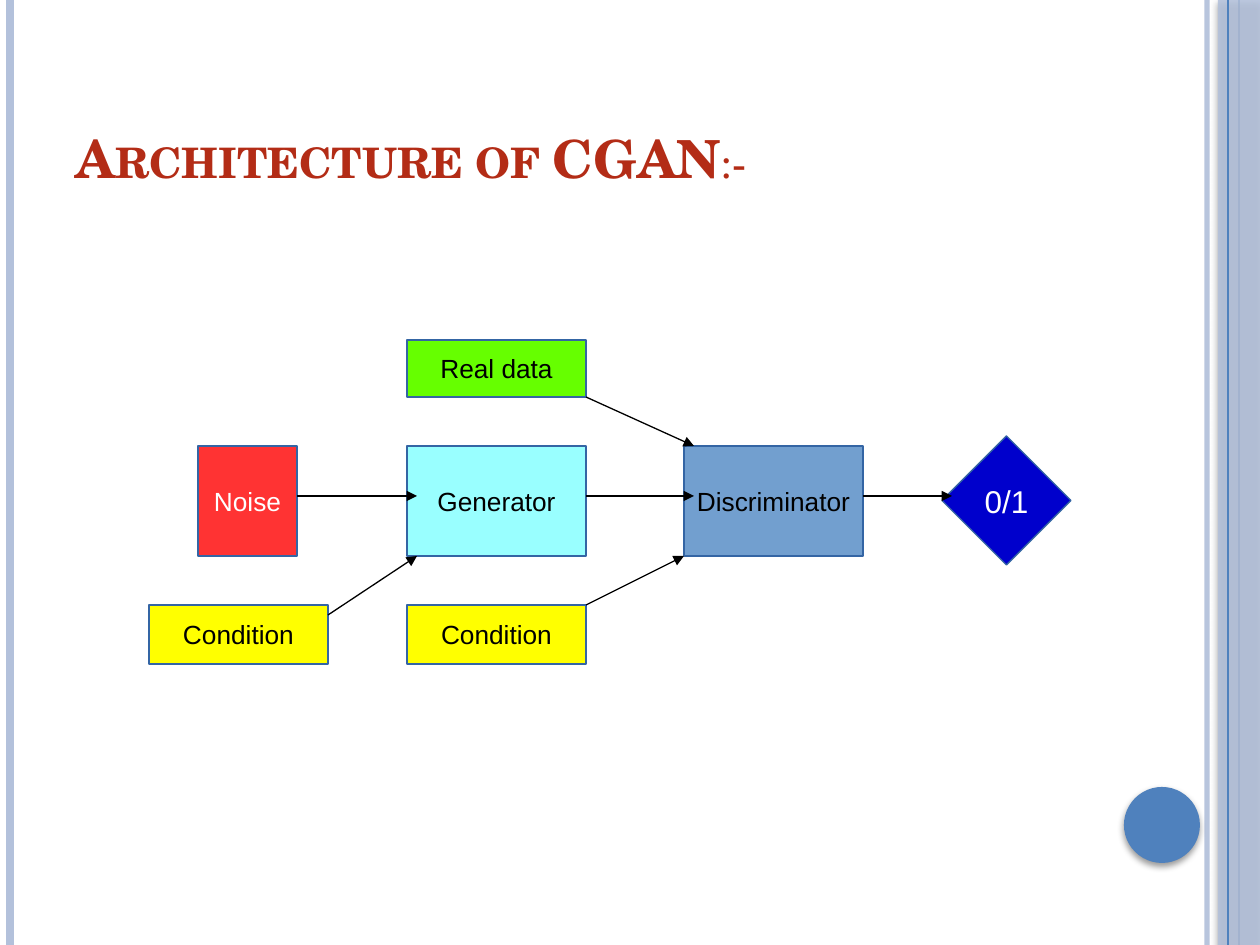
"""Builds the slide on the architecture of a conditional GAN."""
from lxml import etree
from pptx import Presentation
from pptx import util as u
from pptx.dml.color import RGBColor
from pptx.enum import shapes, text
from pptx.oxml import ns

SCALE = 914400 / 126


def px(length):
    """Turns pixels into EMU."""
    return u.Emu(round(length * SCALE))


def rgb(code):
    """Turns a hex string into a colour."""
    return RGBColor.from_string(code)


def add_child(parent, tag, **attributes):
    """Adds a DrawingML child element with the given attributes."""
    return etree.SubElement(parent, ns.qn(tag), {k: str(v) for k, v in attributes.items()})


def set_alpha(fill, percent):
    """Makes a solid fill partly transparent."""
    colour = fill._xPr.find(ns.qn("a:solidFill"))[0]
    add_child(colour, "a:alpha", val=percent * 1000)


class Sheet:
    """Holds the style and the current slide."""

    ACCENT, PALE, EDGE, TITLE = "4F81BD", "B3C1DB", "3465A4", "B32C16"
    BODY_FONT, TITLE_FONT = "Arial", "TeX Gyre Schola"

    def __init__(self, deck):
        """Adds a title-only slide."""
        self.page = deck.slides.add_slide(deck.slide_layouts[5])

    def line(self, start, end, colour, width, alpha=None, arrow=False):
        """Draws a straight line, with an arrowhead if asked."""
        line = self.page.shapes.add_connector(
            shapes.MSO_CONNECTOR.STRAIGHT, *map(px, (*start, *end)))
        line.line.color.rgb = rgb(colour)
        line.line.width = u.Pt(width)
        if alpha:
            set_alpha(line.line.fill, alpha)
        if arrow:
            add_child(line.line._get_or_add_ln(), "a:tailEnd", type="triangle")
        add_child(line._element.spPr, "a:effectLst")

    def shape(self, kind, place, fill):
        """Draws a plain filled shape without outline or shadow."""
        box = self.page.shapes.add_shape(kind, *map(px, place))
        box.fill.solid()
        box.fill.fore_color.rgb = rgb(fill)
        box.line.fill.background()
        box.shadow.inherit = False
        return box

    def shaded(self, kind, place, fill, alpha=None):
        """Draws a shape with a soft shadow below it."""
        box = self.shape(kind, place, fill)
        if alpha:
            set_alpha(box.fill, alpha)
        effects = box._element.spPr.find(ns.qn("a:effectLst"))
        shadow = add_child(effects, "a:outerShdw", blurRad=u.Pt(4), dist=u.Pt(2),
                           dir=90 * 60000, rotWithShape=0)
        add_child(add_child(shadow, "a:srgbClr", val="000000"), "a:alpha", val=40000)

    def block(self, label, place, fill, colour="000000", size=15,
              kind=shapes.MSO_SHAPE.RECTANGLE):
        """Draws a labelled block of the diagram."""
        box = self.shape(kind, place, fill)
        box.line.color.rgb = rgb(self.EDGE)
        box.line.width = u.Pt(0.75)
        frame = box.text_frame
        frame.word_wrap = False
        frame.vertical_anchor = text.MSO_ANCHOR.MIDDLE
        para = frame.paragraphs[0]
        para.text = label
        para.alignment = text.PP_ALIGN.CENTER
        para.font.name = self.BODY_FONT
        para.font.size = u.Pt(size)
        para.font.color.rgb = rgb(colour)

    def title(self, place, *parts):
        """Fills the title with (text, bold) parts in small capitals."""
        box = self.page.shapes.title
        box.left, box.top, box.width, box.height = map(px, place)
        frame = box.text_frame
        frame.auto_size = text.MSO_AUTO_SIZE.NONE
        frame.vertical_anchor = text.MSO_ANCHOR.BOTTOM
        para = frame.paragraphs[0]
        para.alignment = text.PP_ALIGN.LEFT
        para.font.name = self.TITLE_FONT
        para.font.size = u.Pt(30)
        para.font.color.rgb = rgb(self.TITLE)
        for words, bold in parts:
            span = para.add_run()
            span.text = words
            span.font.bold = bold
            span.font._element.set("cap", "small")


deck = Presentation()
deck.slide_width, deck.slide_height = px(1260), px(945)
sheet = Sheet(deck)

for x, colour, width, alpha in ((1207, sheet.PALE, 3, 93), (10, sheet.PALE, 4.5, None),
                                (1239, sheet.ACCENT, 1.5, None)):
    sheet.line((x, 0), (x, 945), colour, width, alpha)
sheet.shaded(shapes.MSO_SHAPE.RECTANGLE, (1218, 0, 42, 945), sheet.PALE, 87)
sheet.line((1228, 0), (1228, 945), sheet.ACCENT, 0.75)
sheet.shaded(shapes.MSO_SHAPE.OVAL, (1124, 787, 76, 76), sheet.ACCENT)

sheet.title((63, 38, 1029, 157), ("Architecture of CGAN", True), (":-", False))

ROW, TALL, WIDE = 446, 110, 179
BOTTOM, CONDITION_TOP, MIDDLE = ROW + TALL, 605, 496
NOISE, CONDITION, GENERATOR, DISCRIMINATOR = 198, 149, 407, 684
GENERATOR_END = GENERATOR + WIDE

sheet.block("Noise", (NOISE, ROW, 99, TALL), "FF3333", "FFFFFF")
for x in (CONDITION, GENERATOR):
    sheet.block("Condition", (x, CONDITION_TOP, WIDE, 59), "FFFF00")
sheet.block("Generator", (GENERATOR, ROW, WIDE, TALL), "99FFFF")
sheet.block("Real data", (GENERATOR, 340, WIDE, 57), "66FF00")
sheet.block("Discriminator", (DISCRIMINATOR, ROW, WIDE, TALL), "729FCF")
sheet.block("0/1", (942, 436, 129, 129), "0000CC", "FFFFFF", 18, shapes.MSO_SHAPE.DIAMOND)

for start, end in (
    ((NOISE + 99, MIDDLE), (GENERATOR + 10, MIDDLE)),
    ((CONDITION + WIDE, 615), (GENERATOR + 10, BOTTOM)),
    ((GENERATOR_END, CONDITION_TOP), (DISCRIMINATOR, BOTTOM)),
    ((GENERATOR_END, MIDDLE), (DISCRIMINATOR + 10, MIDDLE)),
    ((GENERATOR_END, 397), (DISCRIMINATOR + 10, ROW)),
    ((DISCRIMINATOR + WIDE, MIDDLE), (952, MIDDLE)),
):
    sheet.line(start, end, "000000", 0.75, arrow=True)

deck.save("out.pptx")
